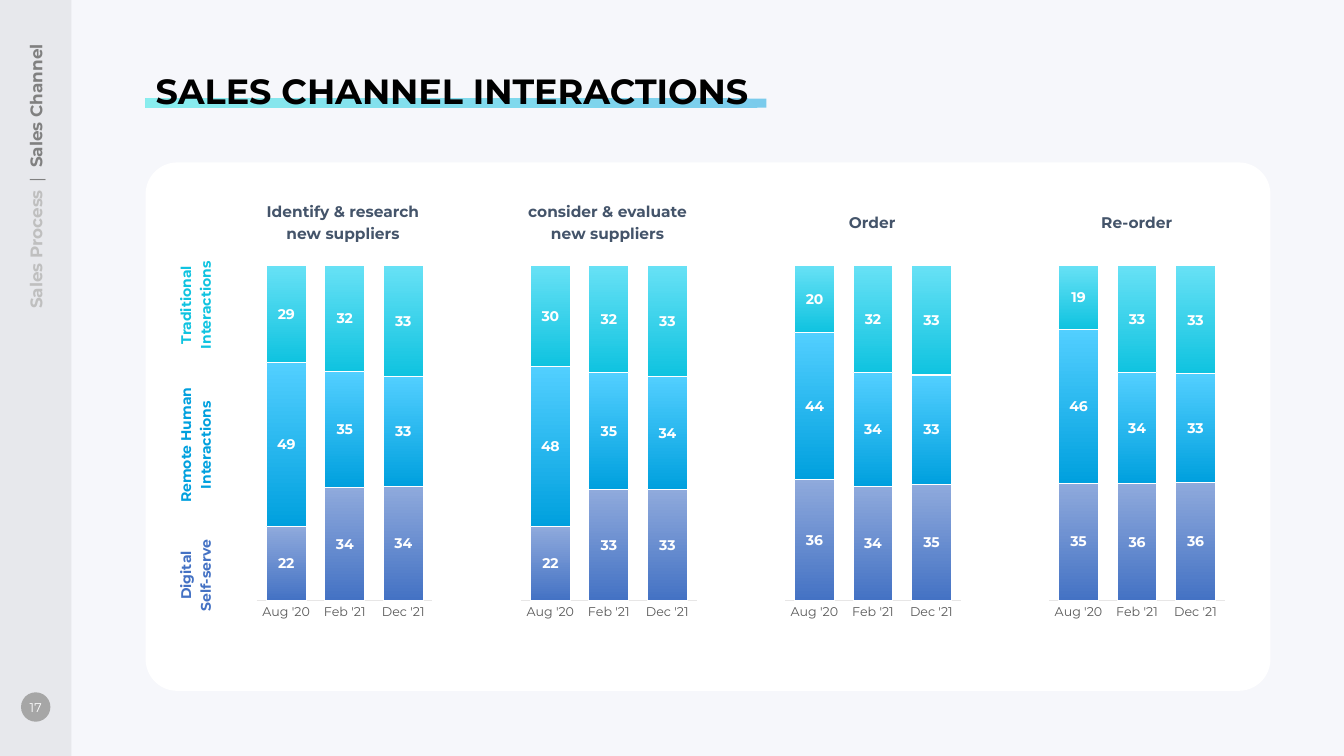
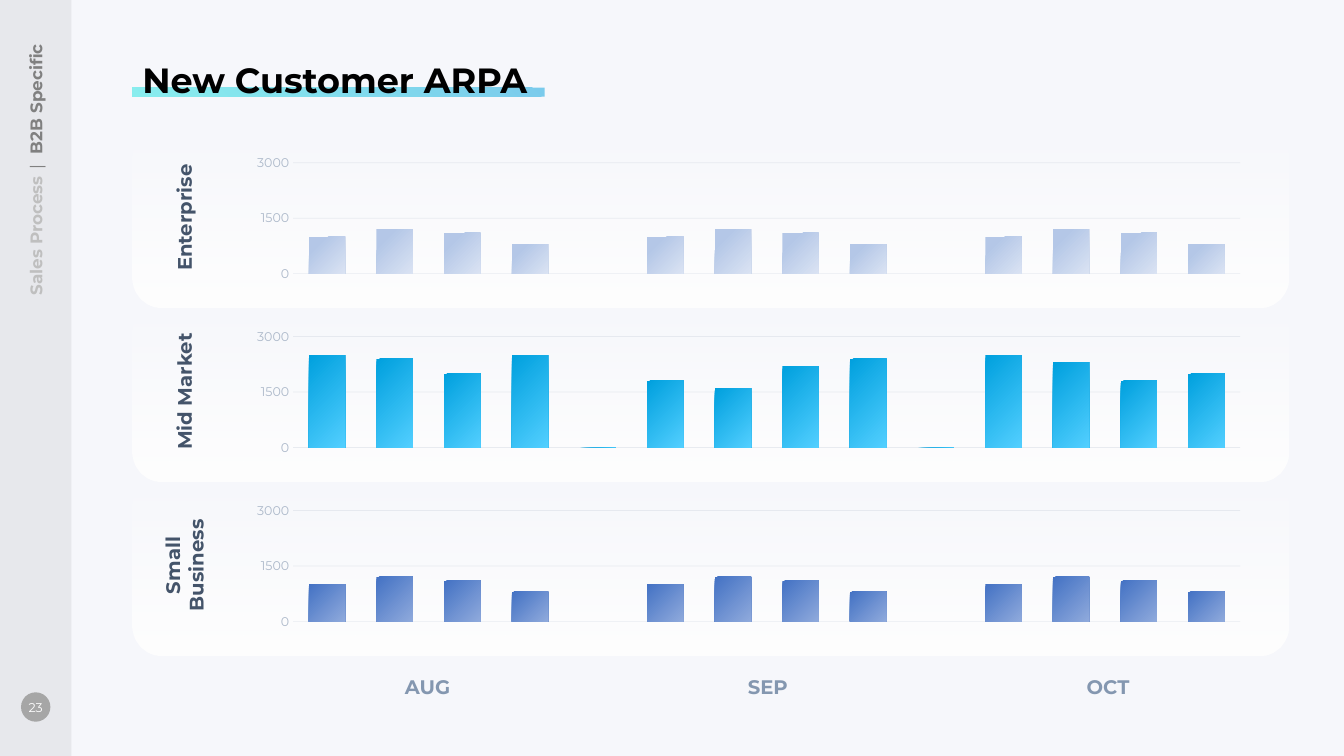
"""Build two sales slides: channel interactions and new customer ARPA."""
from lxml.etree import SubElement
from pptx import Presentation
from pptx.chart.data import CategoryChartData
from pptx.dml.color import RGBColor
from pptx.enum.chart import XL_CHART_TYPE, XL_LABEL_POSITION, XL_TICK_LABEL_POSITION, XL_TICK_MARK
from pptx.enum.shapes import MSO_SHAPE
from pptx.enum.text import MSO_ANCHOR, MSO_AUTO_SIZE, PP_ALIGN
from pptx.oxml import parse_xml
from pptx.oxml.ns import nsdecls, qn
from pptx.util import Pt

FONT = "Montserrat"
HEX = {
    "back": "F6F7FB", "band": "E7E8EC", "badge": "A6A6A6", "white": "FFFFFF",
    "black": "000000", "slate": "44546A", "month": "8497B0", "past": "BFBFBF",
    "grey": "808080", "axis": "E7E6E6", "label": "595959", "scale": "ADB9CA",
    "grid": "D6DCE5", "mint": "1DE5E2", "aqua": "0FC3E0", "foam": "67E1F5",
    "sky": "52CFFF", "blue": "00A0DE", "navy": "4472C4", "steel": "8FAADC",
    "pale": "DAE3F3", "mist": "B4C7E7",
}
RGB = {name: RGBColor.from_string(code) for name, code in HEX.items()}


def paint(props, stops, focus=None):
    """Swap the solid fill for a gradient, falling or centred on a corner."""
    marks = "".join(
        f'<a:gs pos="{pos * 1000}"><a:srgbClr val="{HEX[name]}">'
        f'<a:alpha val="{alpha * 1000}"/></a:srgbClr></a:gs>'
        for pos, name, alpha in stops)
    way = '<a:lin ang="5400000" scaled="0"/>'
    if focus:
        rect = " ".join(f'{side}="{part * 1000}"' for side, part in zip("ltrb", focus))
        way = f'<a:path path="circle"><a:fillToRect {rect}/></a:path>'
    solid = props.find(qn("a:solidFill"))
    props.replace(solid, parse_xml(
        f'<a:gradFill {nsdecls("a")} rotWithShape="1"><a:gsLst>{marks}</a:gsLst>{way}</a:gradFill>'))


def write(slide, words, x, y, w, h, size, hue, bold=True, turn=0, pitch=None):
    """Write centred text in a box around the point x, y."""
    box = slide.shapes.add_textbox(Pt(x - w / 2), Pt(y - h / 2), Pt(w), Pt(h))
    box.rotation = turn
    frame = box.text_frame
    frame.word_wrap = True
    frame.vertical_anchor = MSO_ANCHOR.MIDDLE
    frame.text = words
    for para in frame.paragraphs:
        para.alignment = PP_ALIGN.CENTER
        if pitch:
            para.line_spacing = Pt(pitch)
        for run in para.runs:
            run.font.name, run.font.size, run.font.bold = FONT, Pt(size), bold
            run.font.color.rgb = RGB[hue]
    return frame


deck = Presentation()
deck.slide_width, deck.slide_height = Pt(960), Pt(540)
layout = deck.slide_layouts[5]
back = deck.slide_master.background.fill
back.solid()
back.fore_color.rgb = RGB["back"]

pages = [
    ("SALES CHANNEL INTERACTIONS", "17", "Sales Channel", 104, 46, 443.5),
    ("New Customer ARPA", "23", "B2B Specific", 94.5, 38, 294.5),
]
slides = [deck.slides.add_slide(layout) for page in pages]
first, second = slides
STEP = 124.2

forms = [(first, MSO_SHAPE.RECTANGLE, 0, 0, 51, 540, "band", None)]
for slide, (title, number, topic, left, top, width) in zip(slides, pages):
    forms.append((slide, MSO_SHAPE.OVAL, 15, 494.5, 21, 21, "badge", None))
    forms.append((slide, MSO_SHAPE.RECTANGLE, left, top + 24.5, width, 6.5,
                  [(0, "mint", 50), (100, "blue", 50)], (0, 100, 100, 0)))
forms.append((first, MSO_SHAPE.ROUNDED_RECTANGLE, 104, 116, 803.5, 377.5, "white", None))
for row in range(3):
    forms.append((second, MSO_SHAPE.ROUNDED_RECTANGLE, 94.5, 91.5 + STEP * row, 826, 128,
                  [(0, "white", 0), (100, "white", 100)], None))

for slide, kind, x, y, w, h, fill, focus in forms:
    shape = slide.shapes.add_shape(kind, Pt(x), Pt(y), Pt(w), Pt(h))
    shape.shadow.inherit = False
    shape.line.fill.background()
    shape.fill.solid()
    if isinstance(fill, str):
        shape.fill.fore_color.rgb = RGB[fill]
    else:
        paint(shape.element.spPr, fill, focus)
    if fill == "white":
        shape.adjustments[0] = 0.06
    if fill == "band":
        shape.element.xpath(".//p:cNvPr")[0].set("id", "99")
        layout.shapes.element.append(shape.element)

for slide, (title, number, topic, left, top, width) in zip(slides, pages):
    head = slide.shapes.title
    head.left, head.top, head.width, head.height = Pt(left), Pt(top), Pt(700), Pt(37.5)
    slide.shapes.element.append(head.element)
    frame = head.text_frame
    frame.text = title
    frame.auto_size = MSO_AUTO_SIZE.NONE
    frame.vertical_anchor = MSO_ANCHOR.TOP
    para = frame.paragraphs[0]
    para.alignment = PP_ALIGN.LEFT
    font = para.runs[0].font
    font.name, font.size, font.bold = FONT, Pt(25), True
    font.color.rgb = RGB["black"]

    frame = write(slide, number, 25.5, 505, 21, 21, 9, "white", False)
    frame.margin_left = frame.margin_right = 0

    frame = write(slide, "Sales Process", 25.5, 144.5, 240, 22, 12, "past", turn=270)
    para = frame.paragraphs[0]
    para.alignment = PP_ALIGN.RIGHT
    for words, bold in ((" | ", False), (topic, True)):
        run = para.add_run()
        run.text = words
        run.font.name, run.font.size, run.font.bold = FONT, Pt(12), bold
        run.font.color.rgb = RGB["grey"]
    para.runs[1].font.size = Pt(12)
    para.runs[1].font.fill.solid()
    para.runs[1].font.color.rgb = RGB["grey"]
    para.runs[1]._r.get_or_add_rPr().set("spc", "200")

stages = [
    ("Identify & research new suppliers", [(22, 34, 34), (49, 35, 33), (29, 32, 33)]),
    ("consider & evaluate new suppliers", [(22, 33, 33), (48, 35, 34), (30, 32, 33)]),
    ("Order", [(36, 34, 35), (44, 34, 33), (20, 32, 33)]),
    ("Re-order", [(35, 36, 36), (46, 34, 33), (19, 33, 33)]),
]
falls = [[(0, "steel", 100), (100, "navy", 100)],
         [(0, "sky", 100), (100, "blue", 100)],
         [(0, "foam", 100), (100, "aqua", 100)]]
steady = (1000, 1200, 1100, 800, None) * 2 + (1000, 1200, 1100, 800)
market = (2500, 2400, 2000, 2500, 0, 1800, 1600, 2200, 2400, 0, 2500, 2300, 1800, 2000)
tiers = [
    ("Enterprise", steady, [(0, "pale", 100), (78, "mist", 100)]),
    ("Mid Market", market, falls[1]),
    ("Small\nBusiness", steady, falls[0]),
]

plots = []
for col, (name, rows) in enumerate(stages):
    plots.append((first, 175 + 188.64 * col, 189.4, 142.5, 272,
                  ("Aug '20", "Feb '21", "Dec '21"), rows, falls))
    write(first, name, 245 + 189 * col, 157.5, 140, 38, 11, "slate", pitch=16)
for row, (name, vals, fill) in enumerate(tiers):
    plots.append((second, 169, 108.7 + STEP * row, 731.5, 94.3,
                  [str(n) for n in range(1, 15)], [vals], [fill]))
    write(second, name, 131.4, 155.5 + STEP * row, 110, 41, 14, "slate", turn=270)

for slide, x, y, w, h, cats, rows, fills in plots:
    stacked = slide is first
    data = CategoryChartData()
    data.categories = cats
    for n, vals in enumerate(rows, 1):
        data.add_series(f"Series {n}", vals)
    kind = XL_CHART_TYPE.COLUMN_STACKED_100 if stacked else XL_CHART_TYPE.COLUMN_CLUSTERED
    chart = slide.shapes.add_chart(kind, Pt(x), Pt(y), Pt(w), Pt(h), data).chart
    chart.has_legend = chart.has_title = False
    chart.font.name, chart.font.size = FONT, Pt(9)
    chart.font.color.rgb = RGB["label" if stacked else "scale"]
    plot = chart.plots[0]
    plot.vary_by_categories = False
    plot.gap_width = 47 if stacked else 86
    base, scale = chart.category_axis, chart.value_axis
    base.major_tick_mark = scale.major_tick_mark = XL_TICK_MARK.NONE
    base.visible, scale.visible = stacked, not stacked
    scale.has_major_gridlines = not stacked

    for bars in plot.series:
        bars.format.fill.solid()
        bars.invert_if_negative = False
        if stacked:
            bars.format.line.color.rgb = RGB["white"]
            bars.format.line.width = Pt(0.75)
    focus = None if stacked else (100, 100, 0, 0)
    for props, fill in zip(chart.element.xpath(".//c:ser/c:spPr"), fills):
        paint(props, fill, focus)

    if stacked:
        plot.overlap = 100
        base.format.line.color.rgb = RGB["axis"]
        base.format.line.width = Pt(0.5)
        for bars in plot.series:
            tags = bars.data_labels
            tags.show_value = True
            tags.position = XL_LABEL_POSITION.CENTER
            tags.font.name, tags.font.size, tags.font.bold = FONT, Pt(10), True
            tags.font.color.rgb = RGB["white"]
        area = chart.element.xpath(".//c:plotArea")[0]
        for old in area.findall(qn("c:layout")):
            area.remove(old)
        inner = SubElement(area, qn("c:layout"))
        area.insert(0, inner)
        manual = SubElement(inner, qn("c:manualLayout"))
        for tag, val in (("layoutTarget", "inner"), ("xMode", "edge"), ("yMode", "edge"),
                         ("x", "0.06"), ("y", "0"), ("w", "0.88"), ("h", "0.88")):
            SubElement(manual, qn(f"c:{tag}")).set("val", val)
    else:
        scale.minimum_scale, scale.maximum_scale, scale.major_unit = 0, 3000, 1500
        scale.tick_label_position = XL_TICK_LABEL_POSITION.NEXT_TO_AXIS
        scale.format.line.fill.background()
        grid = scale.major_gridlines.format.line
        grid.color.rgb = RGB["grid"]
        grid.width = Pt(0.5)
        tint = chart.element.xpath(".//c:majorGridlines//a:srgbClr")[0]
        SubElement(tint, qn("a:alpha")).set("val", "50000")

for words, y, w, hue in (("Traditional Interactions", 218, 88.5, "aqua"),
                         ("Remote Human Interactions", 318, 111.5, "blue"),
                         ("Digital Self-serve", 411, 73.5, "navy")):
    write(first, words, 138.6, y, w, 34.5, 10, hue, turn=270, pitch=14)
for col, month in enumerate(("AUG", "SEP", "OCT")):
    write(second, month, 305.5 + 243 * col, 490.3, 80, 24.5, 14, "month")

deck.save("out.pptx")
